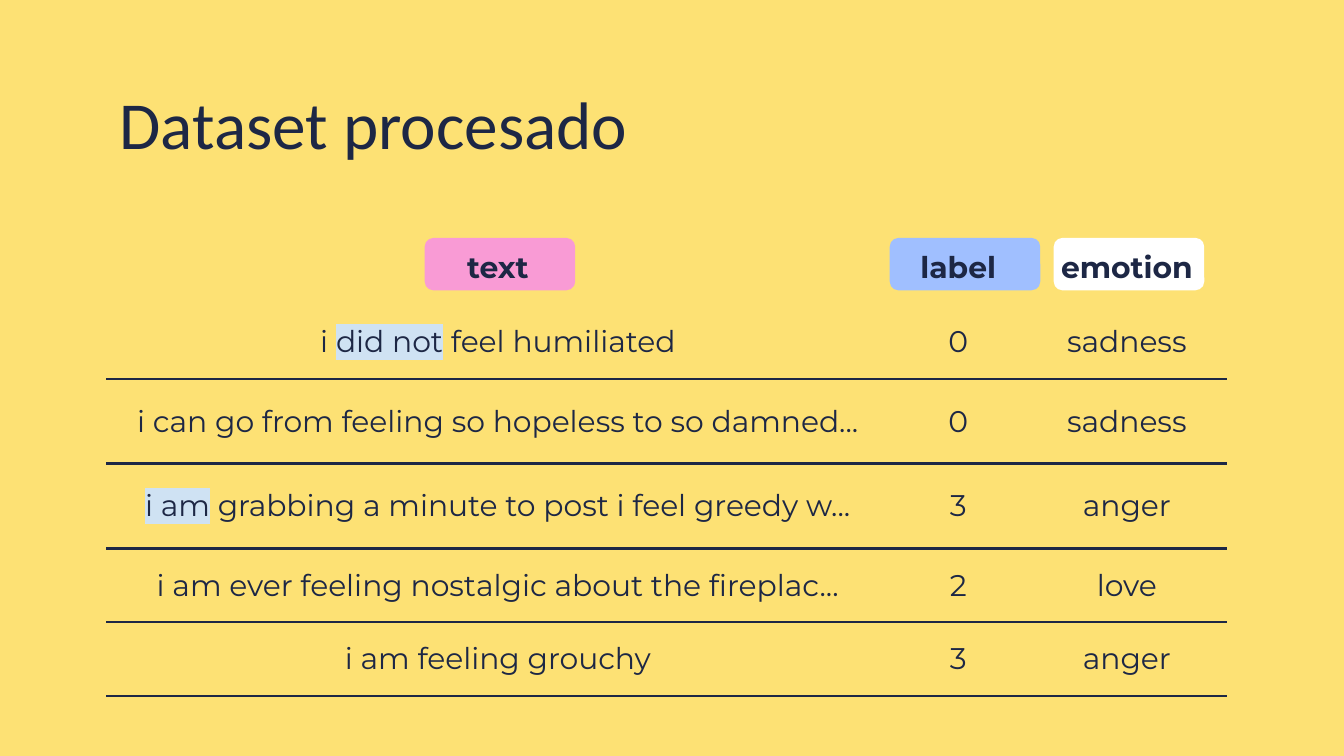
"""Build the slide that shows a table of the processed dataset."""
from lxml import etree
from pptx import Presentation, util as u
from pptx.dml.color import RGBColor
from pptx.enum import shapes, text
from pptx.oxml import ns

INK, MARK = "1D2745", "CFE2F3"
WIDE = u.Inches(10)
HIGH = WIDE * 9 // 16
LEFT, TOP = 0.79, 1.72
COLS = [5.83, 1.02, 1.49]
ROWS = [0.55, 0.55, 0.63, 0.63, 0.55, 0.55]
HEAD = ["text", "label", "emotion"]
TAGS = [(6.62, "A0BFFF"), (3.16, "F99BD5"), (7.84, "FFFFFF")]
DATA = [
    (["i ", "*did not", " feel humiliated"], "0", "sadness"),
    (["i can go from feeling so hopeless to so damned..."], "0", "sadness"),
    (["*i am", " grabbing a minute to post i feel greedy w..."], "3", "anger"),
    (["i am ever feeling nostalgic about the fireplac..."], "2", "love"),
    (["i am feeling grouchy"], "3", "anger"),
]


def paint(fill, tone):
    fill.solid()
    fill.fore_color.rgb = RGBColor.from_string(tone)


def write(para, words, face, size, bold=False):
    run = para.add_run()
    run.text = words.lstrip("*")
    run.font.name, run.font.size, run.font.bold = face, u.Pt(size), bold
    paint(run.font.fill, INK)
    if words.startswith("*"):
        mark = etree.Element(ns.qn("a:highlight"))
        etree.SubElement(mark, ns.qn("a:srgbClr"), val=MARK)
        run.font.fill._xPr.find(ns.qn("a:solidFill")).addnext(mark)


deck = Presentation()
deck.slide_width, deck.slide_height = WIDE, HIGH
slide = deck.slides.add_slide(deck.slide_layouts[5])
paint(slide.background.fill, "FDE174")

for left, tone in TAGS:
    tag = slide.shapes.add_shape(
        shapes.MSO_SHAPE.ROUNDED_RECTANGLE,
        u.Inches(left), u.Inches(1.77), u.Inches(1.12), u.Inches(0.39))
    tag.shadow.inherit = False
    tag.line.fill.background()
    paint(tag.fill, tone)

title = slide.shapes.title
title.left, title.top = u.Inches(LEFT), u.Inches(0.51)
title.width, title.height = u.Inches(8.43), u.Inches(0.67)
frame = title.text_frame
frame.margin_left = frame.margin_right = u.Inches(0.1)
frame.margin_top = frame.margin_bottom = u.Inches(0.1)
frame.vertical_anchor = text.MSO_ANCHOR.TOP
frame.auto_size = text.MSO_AUTO_SIZE.NONE
frame.paragraphs[0].alignment = text.PP_ALIGN.LEFT
write(frame.paragraphs[0], "Dataset procesado", "Calibri", 36)

grid = slide.shapes.add_table(
    len(ROWS), len(COLS), u.Inches(LEFT), u.Inches(TOP),
    u.Inches(sum(COLS)), u.Inches(sum(ROWS))).table
grid.first_row = grid.horz_banding = False
for col, wide in zip(grid.columns, COLS):
    col.width = u.Inches(wide)
for row, high in zip(grid.rows, ROWS):
    row.height = u.Inches(high)

for r, line in enumerate([HEAD] + DATA):
    for c, words in enumerate(line):
        cell = grid.cell(r, c)
        cell.fill.background()
        cell.vertical_anchor = text.MSO_ANCHOR.MIDDLE
        cell.margin_left = cell.margin_right = u.Inches(0.1)
        cell.margin_top = cell.margin_bottom = u.Inches(0.1)
        para = cell.text_frame.paragraphs[0]
        para.alignment = text.PP_ALIGN.CENTER
        for part in [words] if isinstance(words, str) else words:
            write(para, part, "Montserrat", 16, r == 0)
        rules = {"L": False, "R": False, "T": r > 1, "B": r > 0}
        for spot, (side, shown) in enumerate(rules.items()):
            edge = etree.Element(ns.qn("a:ln" + side), w=str(u.Pt(1.5)))
            if shown:
                fill = etree.SubElement(edge, ns.qn("a:solidFill"))
                etree.SubElement(fill, ns.qn("a:srgbClr"), val=INK)
            else:
                etree.SubElement(edge, ns.qn("a:noFill"))
            cell._tc.get_or_add_tcPr().insert(spot, edge)

deck.save("out.pptx")
